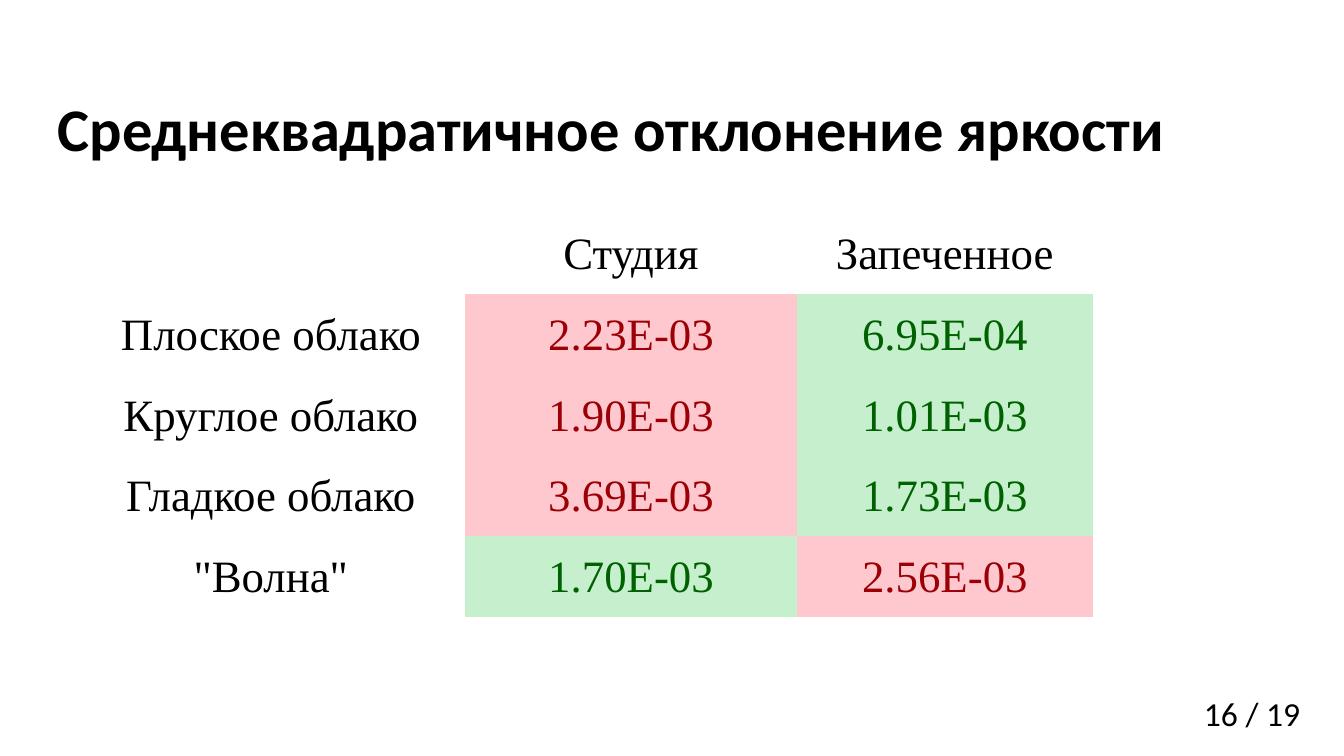
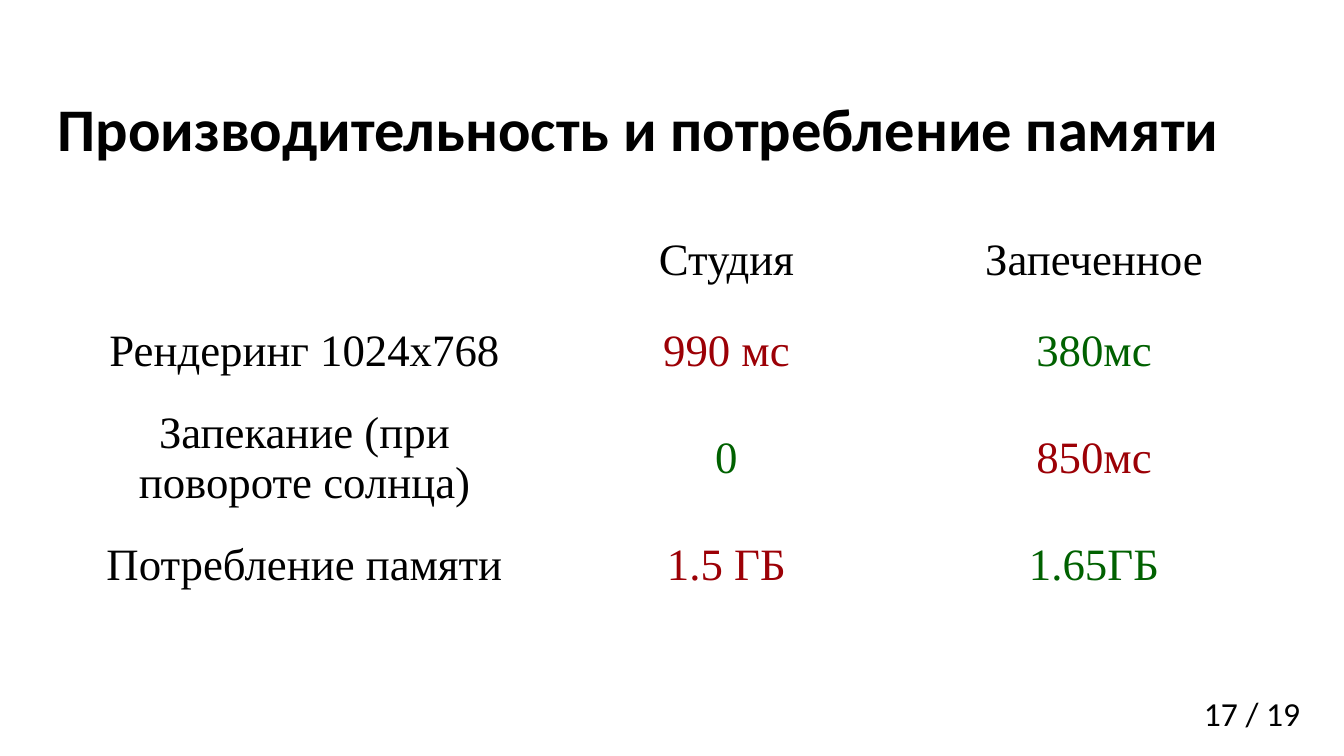
from dataclasses import dataclass

from pptx import Presentation
from pptx.dml.color import RGBColor
from pptx.enum.text import MSO_ANCHOR, MSO_AUTO_SIZE, PP_ALIGN
from pptx.oxml.ns import qn
from pptx.util import Inches, Pt

PLAIN_TABLE_STYLE = "{2D5ABB26-0587-4C30-8999-92F81FD0307C}"
SLIDE_TOTAL = 19


@dataclass(frozen=True)
class Theme:
    heading_font: str = "Calibri"
    table_font: str = "Times New Roman"
    title_size: float = 32.4
    table_size: float = 24
    number_size: float = 18
    text: str = "000000"
    background: str = "FFFFFF"
    better: str = "006100"
    worse: str = "9C0006"
    better_fill: str = "C6EFCE"
    worse_fill: str = "FFC7CE"


class Deck:
    """Holds the style and the current slide."""

    def __init__(self, theme):
        self.theme = theme
        self.presentation = Presentation()
        # Widescreen, 16:9
        self.presentation.slide_width = Inches(10)
        self.presentation.slide_height = Inches(10) * 9 // 16
        self.slide = None

    def add_slide(self, title, number):
        layout = self.presentation.slide_layouts[5]
        self.slide = self.presentation.slides.add_slide(layout)
        background = self.slide.background.fill
        background.solid()
        background.fore_color.rgb = RGBColor.from_string(self.theme.background)
        self.add_number(number)
        self.add_title(title)

    def style(self, paragraph, name, size, color, bold=False):
        font = paragraph.font
        font.name, font.size, font.bold = name, Pt(size), bold
        font.color.rgb = RGBColor.from_string(color)

    def add_title(self, text):
        shape = self.slide.shapes.title
        shape.left, shape.top = Inches(0.33), Inches(0.61)
        shape.width, shape.height = Inches(9.34), Inches(0.68)
        frame = shape.text_frame
        frame.text = text
        frame.auto_size = MSO_AUTO_SIZE.NONE
        frame.vertical_anchor = MSO_ANCHOR.MIDDLE
        paragraph = frame.paragraphs[0]
        paragraph.alignment = PP_ALIGN.LEFT
        self.style(paragraph, self.theme.heading_font, self.theme.title_size,
                   self.theme.text, bold=True)

    def add_number(self, number):
        box = self.slide.shapes.add_textbox(
            Inches(8.86), Inches(5.11), Inches(0.97), Inches(0.4))
        frame = box.text_frame
        frame.text = f"{number} / {SLIDE_TOTAL}"
        frame.word_wrap = False
        frame.auto_size = MSO_AUTO_SIZE.SHAPE_TO_FIT_TEXT
        self.style(frame.paragraphs[0], self.theme.heading_font,
                   self.theme.number_size, self.theme.text)

    def add_comparison(self, headers, rows, widths, heights, tinted):
        """Each row is a label, its values and the column of the better one."""
        frame = self.slide.shapes.add_table(
            len(heights), len(widths), Inches(0.57), Inches(1.59),
            Inches(sum(widths)), Inches(sum(heights)))
        table = frame.table
        table.first_row = table.horz_banding = False
        for style_id in frame.element.iter(qn("a:tableStyleId")):
            style_id.text = PLAIN_TABLE_STYLE
        for column, width in zip(table.columns, widths):
            column.width = Inches(width)
        for row, height in zip(table.rows, heights):
            row.height = Inches(height)

        # Header row; the corner stays empty
        for column, header in enumerate(headers, 1):
            self.fill_cell(table.cell(0, column), header, self.theme.text)
        table.cell(0, 0).fill.background()

        # Labels and coloured values
        for row, (label, *values, best) in enumerate(rows, 1):
            self.fill_cell(table.cell(row, 0), label, self.theme.text)
            for column, value in enumerate(values, 1):
                if column == best:
                    color, tint = self.theme.better, self.theme.better_fill
                else:
                    color, tint = self.theme.worse, self.theme.worse_fill
                self.fill_cell(table.cell(row, column), value, color,
                               tint if tinted else self.theme.background)

    def fill_cell(self, cell, text, color, fill=None):
        cell.text = text
        cell.vertical_anchor = MSO_ANCHOR.MIDDLE
        cell.margin_left = cell.margin_right = cell.margin_top = Inches(0.01)
        cell.margin_bottom = 0
        if fill:
            cell.fill.solid()
            cell.fill.fore_color.rgb = RGBColor.from_string(fill)
        else:
            cell.fill.background()
        paragraph = cell.text_frame.paragraphs[0]
        paragraph.alignment = PP_ALIGN.CENTER
        self.style(paragraph, self.theme.table_font, self.theme.table_size, color)


def main():
    deck = Deck(Theme())
    methods = ["Студия", "Запеченное"]

    # Brightness deviation
    deck.add_slide("Среднеквадратичное отклонение яркости", 16)
    deck.add_comparison(
        methods,
        [("Плоское облако", "2.23E-03", "6.95E-04", 2),
         ("Круглое облако", "1.90E-03", "1.01E-03", 2),
         ("Гладкое облако", "3.69E-03", "1.73E-03", 2),
         ('"Волна"', "1.70E-03", "2.56E-03", 1)],
        widths=[2.89, 2.47, 2.2], heights=[0.6] * 5, tinted=True)

    # Performance and memory
    deck.add_slide("Производительность и потребление памяти", 17)
    deck.add_comparison(
        methods,
        [("Рендеринг 1024x768", "990 мс", "380мс", 2),
         ("Запекание (при повороте солнца)", "0", "850мс", 1),
         ("Потребление памяти", "1.5 ГБ", "1.65ГБ", 2)],
        widths=[3.39, 2.89, 2.58], heights=[0.68, 0.68, 0.91, 0.68],
        tinted=False)

    deck.presentation.save("out.pptx")


if __name__ == "__main__":
    main()
